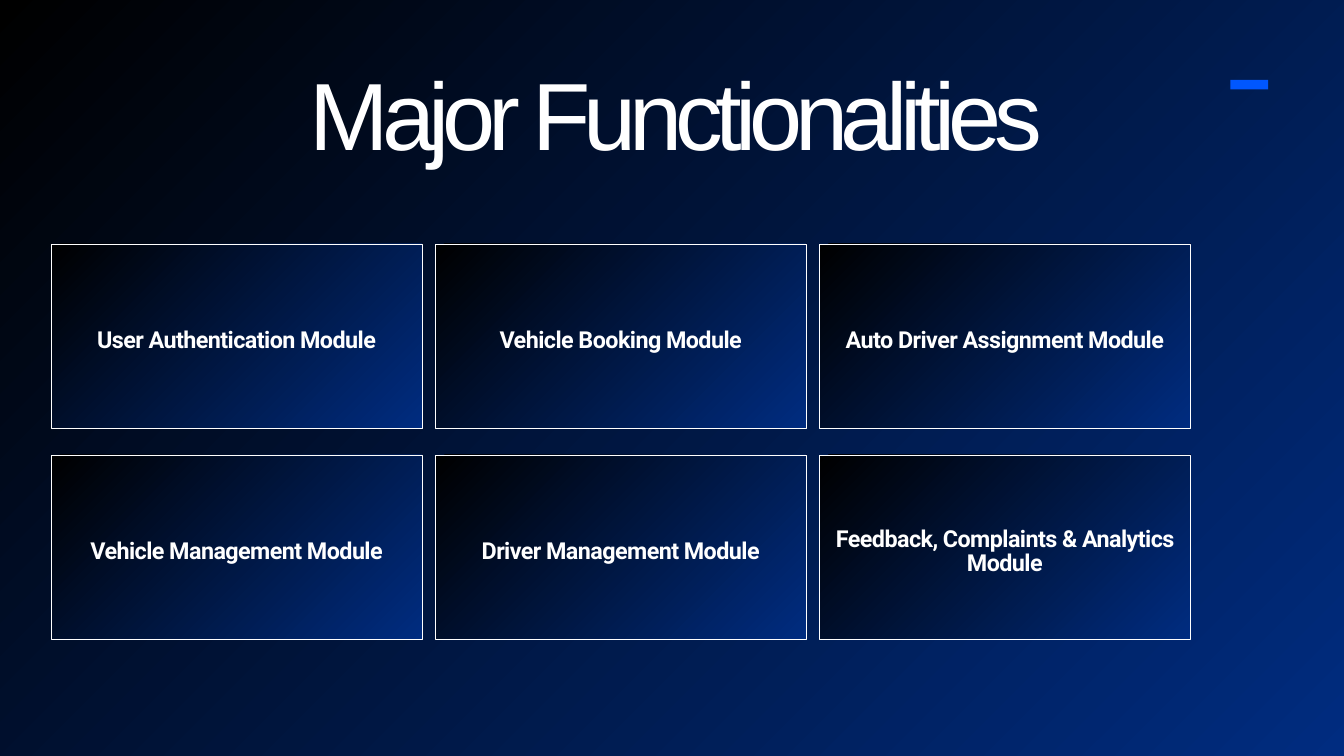
from pptx import Presentation
from pptx.dml.color import RGBColor
from pptx.enum.shapes import MSO_SHAPE as Shape
from pptx.enum.text import MSO_ANCHOR as Anchor, MSO_AUTO_SIZE as AutoSize, PP_ALIGN as Align
from pptx.util import Cm, Pt

BLACK = RGBColor(0x00, 0x00, 0x00)
NAVY = RGBColor(0x00, 0x2C, 0x80)
BLUE = RGBColor(0x00, 0x57, 0xFF)
WHITE = RGBColor(0xFF, 0xFF, 0xFF)

MODULES = [
    "User Authentication Module",
    "Vehicle Booking Module",
    "Auto Driver Assignment Module",
    "Vehicle Management Module",
    "Driver Management Module",
    "Feedback, Complaints & Analytics Module",
]
COLUMNS = 3
GRID_LEFT, GRID_TOP = 1.93, 9.22
CARD_WIDTH, CARD_HEIGHT = 14.02, 6.96
COLUMN_GAP, ROW_GAP = 0.5, 1.02


class ModuleSlide:
    """Draws on one slide in the dark blue style; lengths are in cm."""

    title_font = {"name": "Arial", "size": Pt(102.3), "bold": False}
    card_font = {"name": "Roboto", "size": Pt(25), "bold": True}

    def __init__(self, deck):
        self.slide = deck.slides.add_slide(deck.slide_layouts[5])
        self.shade(self.slide.background.fill)

    def shade(self, fill):
        """Run black to navy from the top left to the bottom right."""
        fill.gradient()
        fill.gradient_angle = 315
        for stop, color in zip(fill.gradient_stops, (BLACK, NAVY)):
            stop.color.rgb = color

    def set_text(self, frame, text, font, line_pt, tracking, align, frame_format):
        for name, value in frame_format.items():
            setattr(frame, name, value)
        paragraph = frame.paragraphs[0]
        paragraph.alignment = align
        paragraph.line_spacing = Pt(line_pt)
        run = paragraph.add_run()
        run.text = text
        for name, value in font.items():
            setattr(run.font, name, value)
        run.font.color.rgb = WHITE
        run._r.get_or_add_rPr().set("spc", str(tracking))

    def title(self, text, left, top, width, height):
        heading = self.slide.shapes.title
        box = {"left": left, "top": top, "width": width, "height": height}
        for name, value in box.items():
            setattr(heading, name, Cm(value))
        frame_format = {
            "margin_left": 0, "margin_right": 0, "margin_top": 0, "margin_bottom": 0,
            "vertical_anchor": Anchor.TOP, "word_wrap": True,
            "auto_size": AutoSize.SHAPE_TO_FIT_TEXT,
        }
        self.set_text(heading.text_frame, text, self.title_font, 92.1, -770,
                      Align.LEFT, frame_format)

    def rectangle(self, left, top, width, height):
        shape = self.slide.shapes.add_shape(
            Shape.RECTANGLE, Cm(left), Cm(top), Cm(width), Cm(height))
        shape.shadow.inherit = False
        return shape

    def accent(self, left, top, width, height):
        bar = self.rectangle(left, top, width, height)
        bar.fill.solid()
        bar.fill.fore_color.rgb = BLUE
        bar.line.fill.background()

    def card(self, text, left, top):
        card = self.rectangle(left, top, CARD_WIDTH, CARD_HEIGHT)
        self.shade(card.fill)
        card.line.color.rgb = WHITE
        card.line.width = Pt(0.75)
        frame_format = {
            "margin_left": Cm(0.15), "margin_right": Cm(0.15),
            "margin_top": Cm(0.56), "margin_bottom": Cm(0.15),
            "vertical_anchor": Anchor.MIDDLE, "word_wrap": True,
        }
        self.set_text(card.text_frame, text, self.card_font, 25, -60,
                      Align.CENTER, frame_format)


def main():
    deck = Presentation()
    deck.slide_width, deck.slide_height = Cm(50.8), Cm(28.58)
    page = ModuleSlide(deck)
    page.accent(46.51, 3.02, 1.42, 0.36)
    page.title("Major Functionalities", 11.71, 3.15, 29.21, 3.53)
    for index, module in enumerate(MODULES):
        row, column = divmod(index, COLUMNS)
        page.card(module,
                  GRID_LEFT + column * (CARD_WIDTH + COLUMN_GAP),
                  GRID_TOP + row * (CARD_HEIGHT + ROW_GAP))
    deck.save("out.pptx")


if __name__ == "__main__":
    main()
